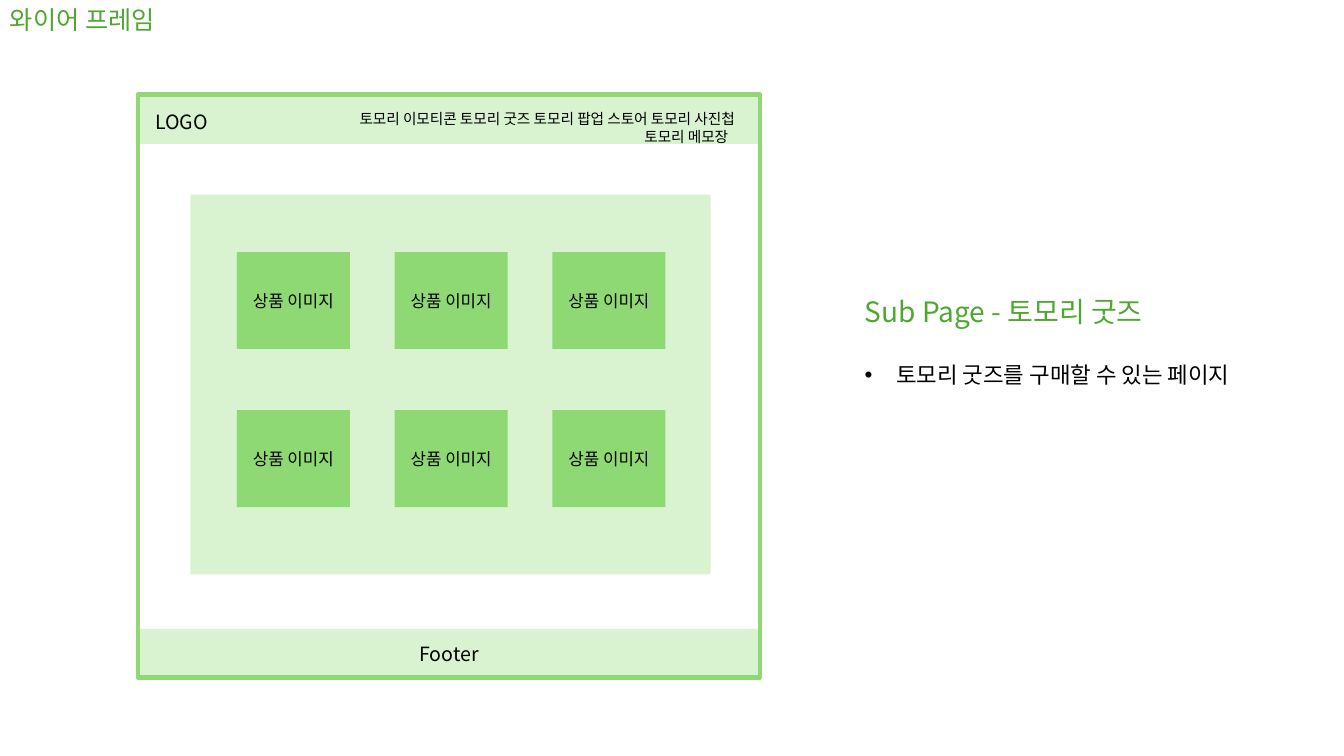
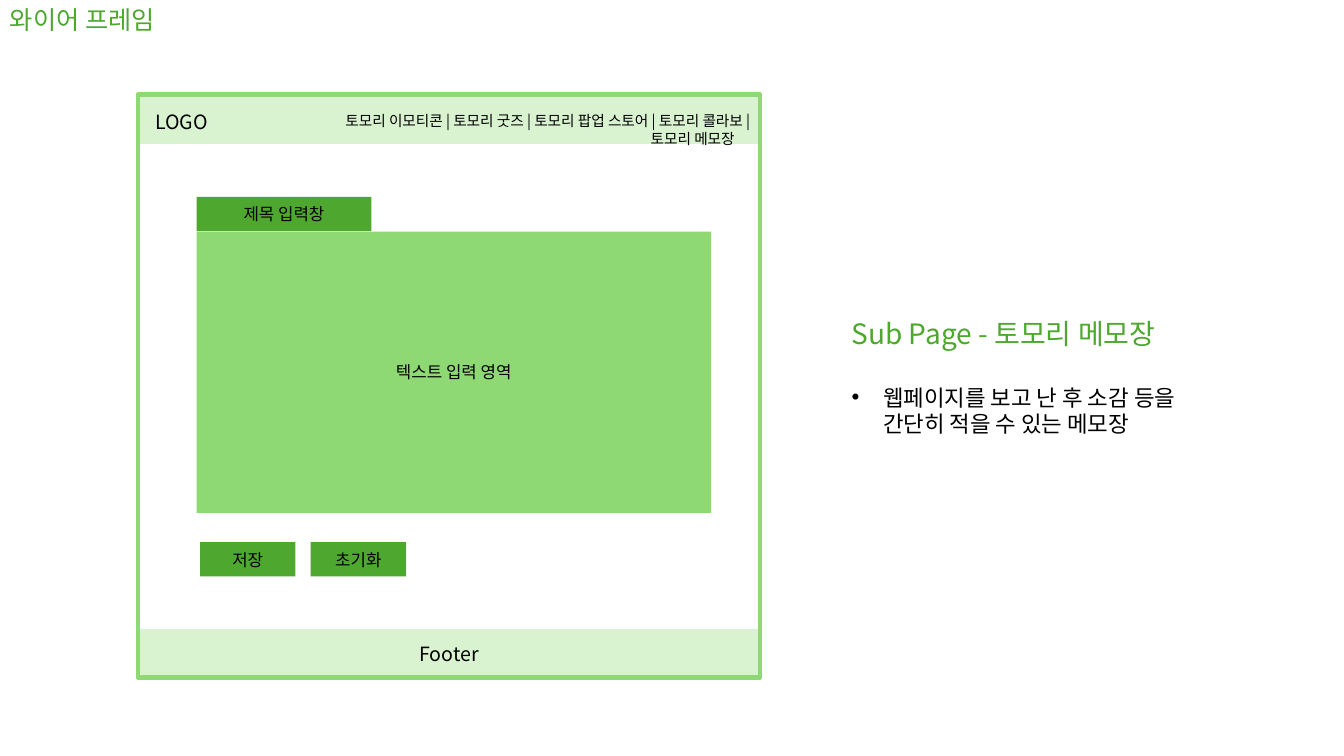
from lxml import etree
from pptx import Presentation
from pptx import util as u
from pptx.dml import color
from pptx.enum import shapes, text
from pptx.oxml import ns

COLORS = {"pale": "D9F2D0", "light": "8ED973", "green": "4EA72E", "black": "000000"}
FONT = "Noto Sans CJK KR"
ALIGN = text.PP_ALIGN

WINDOW = (98.6, 67.7, 444.3, 416.2)
BAND_HEIGHT = 35.2
FOOTER_TOP = 449.3


def write(paragraph, words, size, color_name="black", **paragraph_format):
    run = paragraph.add_run()
    run.text = words
    run.font.color.rgb = color.RGBColor.from_string(COLORS[color_name])
    for name, value in {"name": FONT, "size": u.Pt(size)}.items():
        setattr(run.font, name, value)
    east_asian = etree.SubElement(run.font._element, ns.qn("a:ea"))
    east_asian.set("typeface", FONT)
    for name, value in paragraph_format.items():
        setattr(paragraph, name, value)


def add_box(slide, bounds, fill=None, words=None, size=12):
    position = [u.Pt(length) for length in bounds]
    if fill is None:
        shape = slide.shapes.add_textbox(*position)
        frame_format = {"word_wrap": True, "auto_size": text.MSO_AUTO_SIZE.SHAPE_TO_FIT_TEXT}
    else:
        shape = slide.shapes.add_shape(shapes.MSO_SHAPE.RECTANGLE, *position)
        shape.shadow.inherit = False
        shape.fill.solid()
        shape.fill.fore_color.rgb = color.RGBColor.from_string(COLORS[fill])
        shape.line.fill.background()
        frame_format = {"word_wrap": True, "vertical_anchor": text.MSO_ANCHOR.MIDDLE}
    for name, value in frame_format.items():
        setattr(shape.text_frame, name, value)
    if words:
        alignment = ALIGN.LEFT if fill is None else ALIGN.CENTER
        write(shape.text_frame.paragraphs[0], words, size, alignment=alignment)
    return shape


product_boxes = [
    ((169.2 + column * 112.7, 180 + row * 113, 80.8, 69.2), "light", "상품 이미지")
    for row in range(2)
    for column in range(3)
]

pages = [
    {
        "heading": "Sub Page - 토모리 굿즈",
        "description": "토모리 굿즈를 구매할 수 있는 페이지",
        "notes_at": (610.6, 206.6, 280, 75),
        "menu_at": (198.7, 74.9, 340.6, 20.2),
        "menu": [
            ("토모리 이모티콘 토모리 굿즈 토모리 팝업 스토어 토모리 사진첩", 7),
            ("토모리 메모장", 12),
        ],
        "boxes": [((136.1, 139, 371.5, 271.4), "pale", None)] + product_boxes,
    },
    {
        "heading": "Sub Page - 토모리 메모장",
        "description": "웹페이지를 보고 난 후 소감 등을 간단히 적을 수 있는 메모장",
        "notes_at": (601.2, 222.5, 280, 94.3),
        "menu_at": (180, 76.3, 362.9, 20.2),
        "menu": [
            ("토모리 이모티콘 | 토모리 굿즈 | 토모리 팝업 스토어 | 토모리 콜라보 |", 0),
            ("토모리 메모장", 11),
        ],
        "boxes": [
            ((140.4, 165.4, 367.5, 201), "light", "텍스트 입력 영역"),
            ((142.9, 387.3, 68.2, 24.4), "green", "저장"),
            ((221.9, 387.3, 68.2, 24.4), "green", "초기화"),
            ((140.4, 140.7, 125, 24.5), "green", "제목 입력창"),
        ],
    },
]

presentation = Presentation()
presentation.slide_width = u.Pt(960)
presentation.slide_height = u.Pt(540)

for page in pages:
    slide = presentation.slides.add_slide(presentation.slide_layouts[6])
    left, top, width, height = WINDOW
    add_box(slide, (left, FOOTER_TOP, width, BAND_HEIGHT), "pale", "Footer", 14)
    add_box(slide, (left, top, width, BAND_HEIGHT), "pale")

    title = add_box(slide, (0, -0.7, 140.4, 29))
    write(title.text_frame.paragraphs[0], "와이어 프레임", 18, "green")

    window = add_box(slide, WINDOW, "pale")
    window.fill.background()
    window.line.color.rgb = color.RGBColor.from_string(COLORS["light"])
    window.line.width = u.Pt(3.25)
    add_box(slide, (103.7, 74.9, 56.9, 24.2), words="LOGO", size=14)

    notes = add_box(slide, page["notes_at"]).text_frame
    write(notes.paragraphs[0], page["heading"], 20, "green")
    bullet = notes.add_paragraph()
    write(bullet, page["description"], 16, space_before=u.Pt(24))
    properties = bullet._p.get_or_add_pPr()
    for name, indent in {"marL": 22.5, "indent": -22.5}.items():
        properties.set(name, str(u.Pt(indent)))
    etree.SubElement(properties, ns.qn("a:buFont")).set("typeface", "Arial")
    etree.SubElement(properties, ns.qn("a:buChar")).set("char", "•")

    for bounds, fill, words in page["boxes"]:
        add_box(slide, bounds, fill, words)

    menu = add_box(slide, page["menu_at"]).text_frame
    for index, (words, right_margin) in enumerate(page["menu"]):
        paragraph = menu.add_paragraph() if index else menu.paragraphs[0]
        write(paragraph, words, 10.5, alignment=ALIGN.RIGHT)
        paragraph._p.get_or_add_pPr().set("marR", str(u.Pt(right_margin)))

presentation.save("out.pptx")
